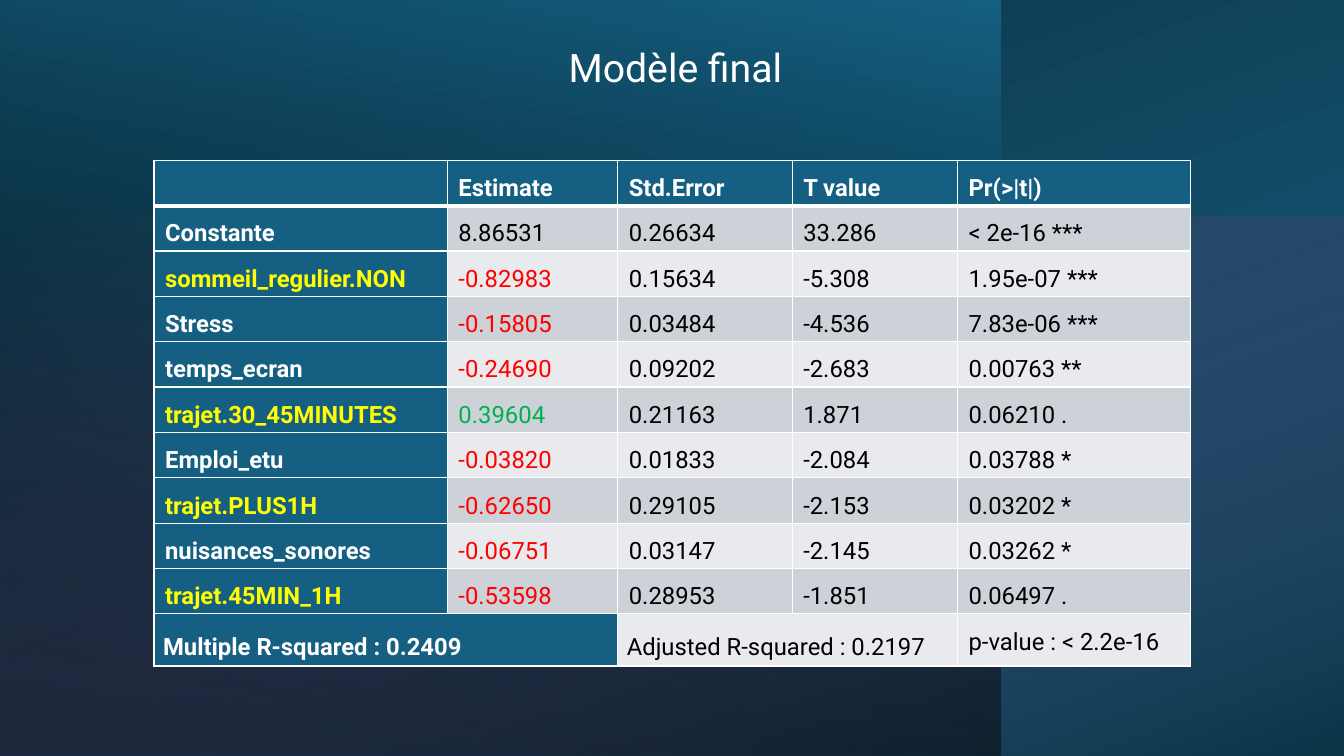
from lxml.etree import SubElement
from pptx import Presentation
from pptx.dml.color import RGBColor
from pptx.enum.shapes import MSO_SHAPE as Preset
from pptx.enum.text import MSO_ANCHOR as Anchor, PP_ALIGN as Align
from pptx.oxml.ns import qn
from pptx.util import Inches, Pt

SLIDE_W, SLIDE_H = Inches(13.33), Inches(7.5)
FONT = "Roboto"
WHITE, BLACK, BLUE = "FFFFFF", "000000", "156082"
YELLOW, RED, GREEN = "FFFF00", "FF0000", "00B050"
BANDS = ["E8EAED", "CCD2D8"]
COLUMN_WIDTHS = [2.91, 1.69, 1.73, 1.64, 2.31]
ROW_HEIGHT = 0.45
HEADINGS = ["", "Estimate", "Std.Error", "T value", "Pr(>|t|)"]
COEFFICIENTS = [
    ["Constante", "8.86531", "0.26634", "33.286", "< 2e-16 ***"],
    ["sommeil_regulier.NON", "-0.82983", "0.15634", "-5.308", "1.95e-07 ***"],
    ["Stress", "-0.15805", "0.03484", "-4.536", "7.83e-06 ***"],
    ["temps_ecran", "-0.24690", "0.09202", "-2.683", "0.00763 **"],
    ["trajet.30_45MINUTES", "0.39604", "0.21163", "1.871", "0.06210 ."],
    ["Emploi_etu", "-0.03820", "0.01833", "-2.084", "0.03788 *"],
    ["trajet.PLUS1H", "-0.62650", "0.29105", "-2.153", "0.03202 *"],
    ["nuisances_sonores", "-0.06751", "0.03147", "-2.145", "0.03262 *"],
    ["trajet.45MIN_1H", "-0.53598", "0.28953", "-1.851", "0.06497 ."],
]
FIT = ["Multiple R-squared : 0.2409", "", "Adjusted R-squared : 0.2197", "", "p-value : < 2.2e-16"]


def colour(hex_code):
    return RGBColor.from_string(hex_code)


def format_runs(paragraph, size, hex_code, bold=False):
    for run in paragraph.runs:
        run.font.name = FONT
        run.font.size = Pt(size)
        run.font.bold = bold
        run.font.color.rgb = colour(hex_code)


def add_gradient(panel, stops, angle):
    properties = panel._element.spPr
    gradient = SubElement(properties, qn("a:gradFill"))
    properties.find(qn("a:prstGeom")).addnext(gradient)
    stop_list = SubElement(gradient, qn("a:gsLst"))
    for position, hex_code, opacity in stops:
        stop = SubElement(stop_list, qn("a:gs"), pos=str(position * 1000))
        tint = SubElement(stop, qn("a:srgbClr"), val=hex_code)
        SubElement(tint, qn("a:alpha"), val=str(opacity * 1000))
    SubElement(gradient, qn("a:lin"), ang=str(angle * 60000), scaled="0")


def add_panel(slide, top, width, rotation, stops, angle):
    seen_w, seen_h = SLIDE_W * width, SLIDE_H * (1 - top)
    centre_x, centre_y = seen_w / 2, SLIDE_H * top + seen_h / 2
    w, h = (seen_h, seen_w) if rotation == 270 else (seen_w, seen_h)
    panel = slide.shapes.add_shape(
        Preset.RECTANGLE, int(centre_x - w / 2), int(centre_y - h / 2), int(w), int(h))
    panel.rotation = rotation
    panel._element.spPr.xfrm.set("flipH", "1")
    panel.shadow.inherit = False
    panel.line.fill.background()
    add_gradient(panel, stops, angle)


def add_title(slide, text):
    title = slide.shapes.title
    title.left, title.top = int(SLIDE_W * 0.4156), int(SLIDE_H * 0.0507)
    title.width, title.height = int(SLIDE_W * 0.219), int(SLIDE_H * 0.076)
    frame = title.text_frame
    frame.text = text
    frame.vertical_anchor = Anchor.TOP
    frame.word_wrap = True
    paragraph = frame.paragraphs[0]
    paragraph.alignment = Align.LEFT
    paragraph.line_spacing = 1.0
    paragraph.space_before = Pt(0)
    format_runs(paragraph, 28, WHITE)
    slide.shapes._spTree.append(title._element)


def set_borders(cell, top, bottom):
    properties = cell._tc.get_or_add_tcPr()
    edges = [("a:lnL", 1), ("a:lnR", 1), ("a:lnT", top), ("a:lnB", bottom)]
    for order, (edge, width) in enumerate(edges):
        line = SubElement(properties, qn(edge), w=str(Pt(width)))
        SubElement(SubElement(line, qn("a:solidFill")), qn("a:srgbClr"), val=WHITE)
        properties.insert(order, line)


def fill_cell(cell, text, background, ink, bold, inset=(0.11, 0)):
    cell.fill.solid()
    cell.fill.fore_color.rgb = colour(background)
    cell.margin_left = cell.margin_right = Inches(inset[0])
    cell.margin_top = cell.margin_bottom = Inches(inset[1])
    cell.text_frame.text = text
    paragraph = cell.text_frame.paragraphs[0]
    paragraph.alignment = Align.JUSTIFY
    paragraph.line_spacing = 1.5
    paragraph.space_after = Pt(8)
    format_runs(paragraph, 17, ink, bold)


def ink_for(text, row, column):
    if row == 0 or column == 0:
        return YELLOW if "." in text and 0 < row <= len(COEFFICIENTS) else WHITE
    if column == 1 and row > 1:
        return RED if text.startswith("-") else GREEN
    return BLACK


def add_model_table(slide):
    rows = [HEADINGS, *COEFFICIENTS, FIT]
    last = len(rows) - 1
    frame = slide.shapes.add_table(
        len(rows), len(COLUMN_WIDTHS), int(SLIDE_W * 0.1146), int(SLIDE_H * 0.212),
        Inches(sum(COLUMN_WIDTHS)), Inches(ROW_HEIGHT * len(rows)))
    table = frame.table
    for column, width in zip(table.columns, COLUMN_WIDTHS):
        column.width = Inches(width)
    for r, values in enumerate(rows):
        table.rows[r].height = Inches(ROW_HEIGHT)
        for c, text in enumerate(values):
            cell = table.cell(r, c)
            heading = r == 0 or c == 0
            background = BLUE if heading else BANDS[r % 2]
            inset = (0.09, 0.05) if r == last and c < 4 else (0.11, 0)
            fill_cell(cell, text, background, ink_for(text, r, c), heading, inset)
            set_borders(cell, 3 if r == 1 else 1, 3 if r == 0 else 1)
    for c in (0, 2):
        table.cell(last, c).merge(table.cell(last, c + 1))


def main():
    deck = Presentation()
    deck.slide_width, deck.slide_height = SLIDE_W, SLIDE_H
    slide = deck.slides.add_slide(deck.slide_layouts[5])
    add_panel(slide, 0, 1, 270, [(8, BLUE, 100), (100, "0B3041", 100)], 200)
    add_panel(slide, 0, 0.744, 180, [(8, BLACK, 52), (100, BLUE, 100)], 80)
    add_panel(slide, 0.287, 1, 270, [(0, "D86ECC", 0), (100, BLACK, 46)], 20)
    add_model_table(slide)
    add_title(slide, "Modèle final")
    deck.save("out.pptx")


if __name__ == "__main__":
    main()
